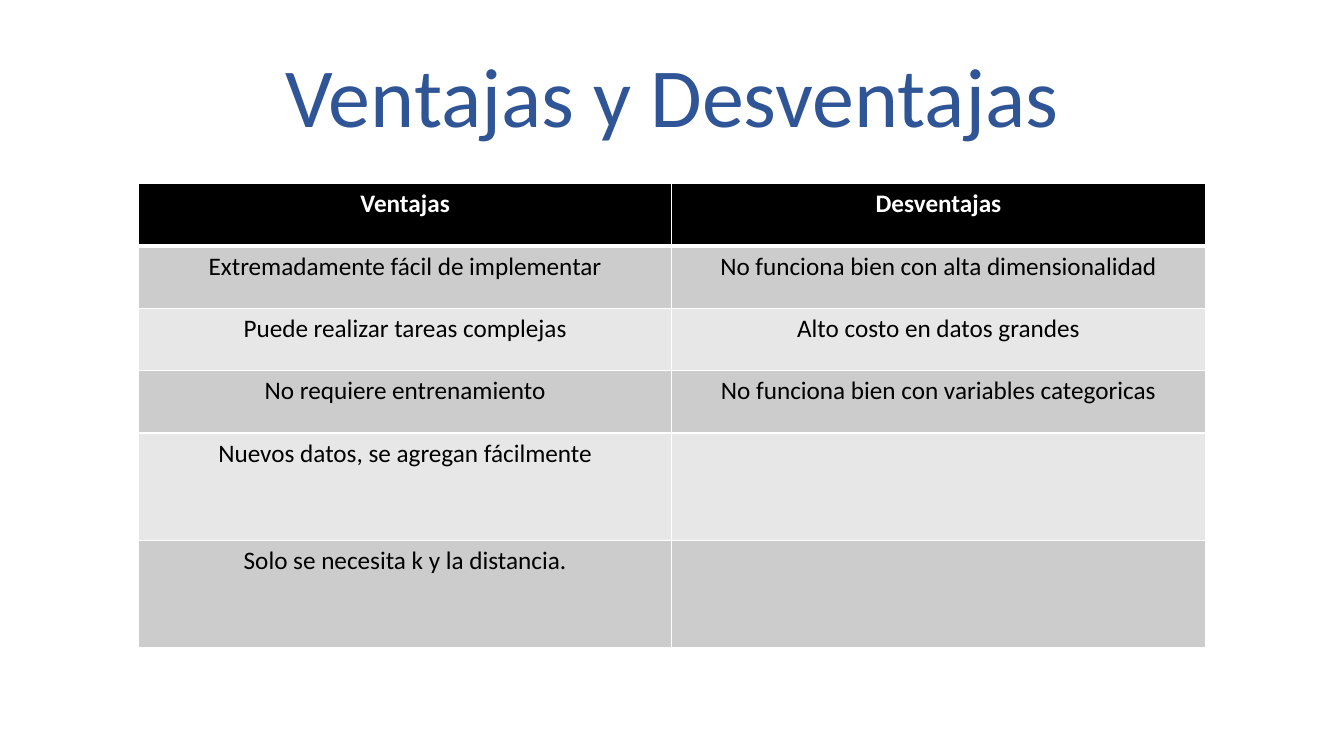
from lxml import etree
from pptx import Presentation
from pptx import util as u
from pptx.dml import color
from pptx.enum import text
from pptx.oxml import ns

ROWS = [
    ("Ventajas", "Desventajas"),
    ("Extremadamente fácil de implementar", "No funciona bien con alta dimensionalidad"),
    ("Puede realizar tareas complejas", "Alto costo en datos grandes"),
    ("No requiere entrenamiento", "No funciona bien con variables categoricas"),
    ("Nuevos datos, se agregan fácilmente", ""),
    ("Solo se necesita k y la distancia.", ""),
]
TALL = [1.57] * 4 + [2.71] * 2
WIDE = 13.44


def paint(target, tone):
    target.rgb = color.RGBColor.from_string(tone)


def write(frame, words, tone, **style):
    para = frame.paragraphs[0]
    para.alignment = text.PP_ALIGN.CENTER
    if not words:
        return para
    run = para.add_run()
    run.text = words
    for name, value in {"name": "Calibri", **style}.items():
        setattr(run.font, name, value)
    paint(run.font.color, tone)
    return para


def title(slide, words):
    box = slide.shapes.add_textbox(u.Cm(2.33), u.Cm(0.9), u.Cm(29.21), u.Cm(3.28))
    look = {"word_wrap": True, "vertical_anchor": text.MSO_ANCHOR.MIDDLE}
    for name, value in look.items():
        setattr(box.text_frame, name, value)
    para = write(box.text_frame, words, "2F5597", size=u.Pt(60))
    para.line_spacing = 0.9


def edge(cell, side, width):
    props = cell._tc.get_or_add_tcPr()
    line = etree.SubElement(props, ns.qn("a:ln" + side), w=str(u.Pt(width)))
    fill = etree.SubElement(line, ns.qn("a:solidFill"))
    etree.SubElement(fill, ns.qn("a:srgbClr"), val="FFFFFF")


def fill_cell(cell, words, row):
    head = row == 0
    for side in "LRTB":
        thick = (side == "B" and head) or (side == "T" and row == 1)
        edge(cell, side, 3 if thick else 1)
    cell.fill.solid()
    band = "CCCCCC" if row % 2 else "E7E7E7"
    paint(cell.fill.fore_color, "000000" if head else band)
    tone = "FFFFFF" if head else "000000"
    write(cell.text_frame, words, tone, size=u.Pt(18), bold=head)


def grid(slide, rows):
    frame = slide.shapes.add_table(
        len(rows), 2, u.Cm(3.49), u.Cm(4.63), u.Cm(2 * WIDE), u.Cm(sum(TALL)))
    table = frame.table
    for col in table.columns:
        col.width = u.Cm(WIDE)
    for row, (pair, tall) in enumerate(zip(rows, TALL)):
        table.rows[row].height = u.Cm(tall)
        for col, words in enumerate(pair):
            fill_cell(table.cell(row, col), words, row)


def main():
    deck = Presentation()
    deck.slide_width, deck.slide_height = u.Cm(33.87), u.Cm(19.05)
    slide = deck.slides.add_slide(deck.slide_layouts[6])
    title(slide, "Ventajas y Desventajas")
    grid(slide, ROWS)
    deck.save("out.pptx")


if __name__ == "__main__":
    main()
